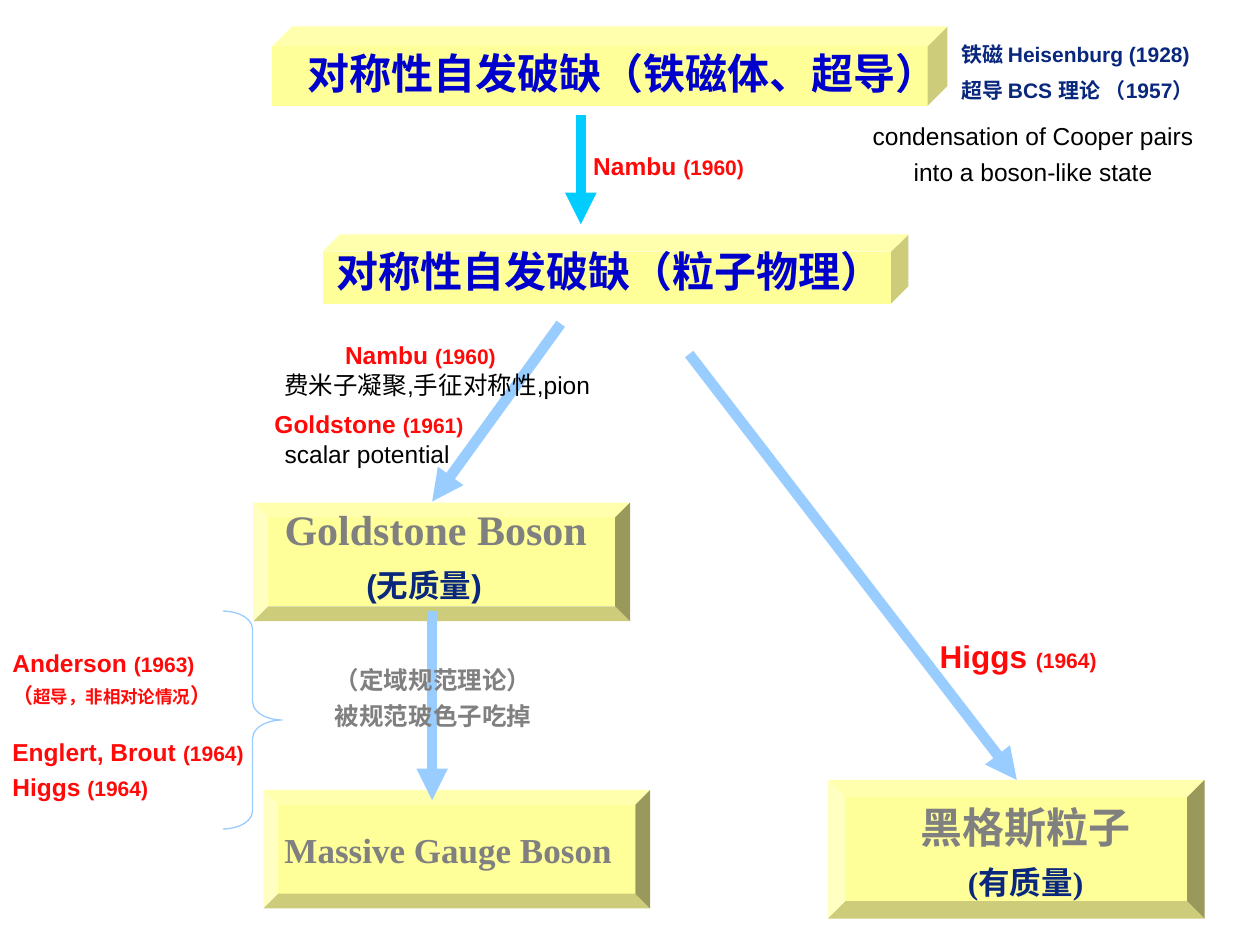
from dataclasses import dataclass
from lxml import etree
from pptx import Presentation
from pptx import util as u
from pptx.dml.color import RGBColor
from pptx.enum import shapes, text
from pptx.oxml import ns

WIDTH, HEIGHT = u.Inches(10), u.Inches(7.5)
COLS, ROWS = 100, 75
COLORS = {"red": "FF0909", "title": "0000CC", "navy": "09277D", "gray": "808080",
          "black": "000000", "box": "FFFF99", "arrow": "99CCFF", "cyan": "00CCFF"}
SANS, SERIF = "Arial", "Times New Roman"
LEFT, CENTER = text.PP_ALIGN.LEFT, text.PP_ALIGN.CENTER
CUBE, BEVEL = shapes.MSO_SHAPE.CUBE, shapes.MSO_SHAPE.BEVEL


@dataclass
class Para:
    runs: list[tuple[str, float]]
    color: str
    font: str = SANS
    bold: bool = True
    align: text.PP_ALIGN = LEFT
    before: float = 0
    spacing: float = 1
    indent: float = 0


@dataclass
class Label:
    area: tuple[float, float, float, float]
    paras: list[Para]
    middle: bool = False


@dataclass
class Box:
    area: tuple[float, float, float, float]
    kind: shapes.MSO_SHAPE
    adjust: float


@dataclass
class Arrow:
    start: tuple[float, float]
    end: tuple[float, float]
    color: str = "arrow"


def col(n: float) -> int:
    return round(WIDTH * n / COLS)


def row(n: float) -> int:
    return round(HEIGHT * n / ROWS)


def place(area: tuple[float, float, float, float]) -> tuple[int, int, int, int]:
    left, top, width, height = area
    return col(left), row(top), col(width), row(height)


def rgb(name: str) -> RGBColor:
    return RGBColor.from_string(COLORS[name])


def credit(name: str, year: int, size: float = 14, before: float = 0) -> Para:
    return Para([(f"{name} ", size), (f"({year})", 12)], "red", before=before)


def heading(words: str, color: str, size: float = 24, **options) -> Para:
    return Para([(words, size)], color, SERIF, spacing=1.3, **options)


def remark(words: str, before: float = 0) -> Para:
    return Para([(words, 14)], "black", bold=False, align=CENTER, before=before)


def draw_box(s, box: Box) -> None:
    sp = s.shapes.add_shape(box.kind, *place(box.area))
    sp.shadow.inherit = False
    sp.adjustments[0] = box.adjust
    sp.fill.solid()
    sp.fill.fore_color.rgb = rgb("box")
    sp.line.fill.background()


def draw_brace(s, area: tuple[float, float, float, float]) -> None:
    sp = s.shapes.add_shape(shapes.MSO_SHAPE.RIGHT_BRACE, *place(area))
    sp.shadow.inherit = False
    sp.adjustments[0] = 0.31
    sp.fill.background()
    sp.line.color.rgb = rgb("arrow")
    sp.line.width = u.Pt(0.75)


def draw_arrow(s, arrow: Arrow) -> None:
    (x1, y1), (x2, y2) = arrow.start, arrow.end
    cx = s.shapes.add_connector(shapes.MSO_CONNECTOR.STRAIGHT, col(x1), row(y1), col(x2), row(y2))
    cx.line.color.rgb = rgb(arrow.color)
    cx.line.width = u.Pt(6)
    etree.SubElement(cx.line._get_or_add_ln(), ns.qn("a:tailEnd"), type="triangle")
    etree.SubElement(cx._element.spPr, ns.qn("a:effectLst"))


def fill_para(p, para: Para) -> None:
    p.alignment = para.align
    p.line_spacing = para.spacing
    if para.before:
        p.space_before = u.Pt(para.before)
    if para.indent:
        p._p.get_or_add_pPr().set("marL", str(col(para.indent)))
    p.font.name = para.font
    p.font.bold = para.bold
    p.font.color.rgb = rgb(para.color)
    sizes = {size for _, size in para.runs}
    if len(sizes) == 1:
        p.font.size = u.Pt(sizes.pop())
    for words, size in para.runs:
        r = p.add_run()
        r.text = words
        if p.font.size is None:
            r.font.size = u.Pt(size)


def draw_label(s, label: Label) -> None:
    tf = s.shapes.add_textbox(*place(label.area)).text_frame
    tf.word_wrap = True
    tf.auto_size = text.MSO_AUTO_SIZE.SHAPE_TO_FIT_TEXT
    if label.middle:
        tf.vertical_anchor = text.MSO_ANCHOR.MIDDLE
    for i, para in enumerate(label.paras):
        fill_para(tf.add_paragraph() if i else tf.paragraphs[0], para)


ARROWS = [
    Arrow((54.7, 28.1), (80.7, 61.9)),
    Arrow((44.5, 25.7), (34.3, 39.8)),
    Arrow((46.1, 9.1), (46.1, 17.8), "cyan"),
]
GAUGE_ARROW = Arrow((34.3, 48.5), (34.3, 63.5))
BOXES = [
    Box((21.6, 2.1, 53.6, 6.3), CUBE, 0.25),
    Box((25.6, 18.6, 46.5, 5.5), CUBE, 0.25),
    Box((20.1, 39.9, 29.9, 9.4), BEVEL, 0.125),
    Box((20.9, 62.7, 30.7, 9.4), BEVEL, 0.125),
    Box((65.7, 61.9, 29.9, 11), BEVEL, 0.125),
]
BOX_LABELS = [
    Label((23.4, 2.1, 53, 6.2), [heading("对称性自发破缺（铁磁体、超导）", "title")]),
    Label((25.7, 17.8, 47, 6.2), [heading("对称性自发破缺（粒子物理）", "title")]),
    Label((21.6, 38.3, 29.9, 10.1), [
        heading("Goldstone Boson", "gray"),
        Para([("(无质量)", 18)], "navy", spacing=1.3, indent=6.5)]),
    Label((21.6, 64.3, 30, 5.4), [heading("Massive Gauge Boson", "gray", 20)]),
    Label((70.4, 61.9, 22, 10.1), [
        heading("黑格斯粒子", "gray", align=CENTER),
        heading("(有质量)", "navy", 18, align=CENTER)]),
]
NOTES = [
    Label((46.1, 11.5, 16, 3.4), [credit("Nambu", 1960)]),
    Label((26.4, 26.5, 16, 3.4), [credit("Nambu", 1960)]),
    Label((20.8, 32, 19, 3.4), [credit("Goldstone", 1961)]),
    Label((0, 50.9, 20, 5.8), [
        credit("Anderson", 1963),
        Para([("（", 12), ("超导，非相对论情况", 10), ("）", 12)], "red", before=3)]),
    Label((0, 58, 22.5, 6.1), [
        credit("Englert, Brout", 1964), credit("Higgs", 1964, before=3)]),
    Label((73.6, 50.1, 17, 4), [credit("Higgs", 1964, 18)]),
    Label((75.3, 2.8, 24, 5.8), [
        Para([("铁磁 Heisenburg (1928)", 12)], "navy"),
        Para([("超导 BCS 理论 （1957）", 12)], "navy", before=6)]),
    Label((25.6, 52.3, 19, 6.2), [
        Para([("（定域规范理论）", 14)], "gray"),
        Para([("被规范玻色子吃掉", 14)], "gray", before=3.5)]),
    Label((67, 9.1, 30, 6.2), [
        remark("condensation of Cooper pairs"),
        remark("into a boson-like state", 3.5)], middle=True),
    Label((19.7, 28.8, 30, 3.4), [remark("费米子凝聚,手征对称性,pion")], middle=True),
    Label((20.6, 34.3, 17.1, 3.4), [remark("scalar potential")], middle=True),
]


def main() -> None:
    prs = Presentation()
    prs.slide_width, prs.slide_height = WIDTH, HEIGHT
    s = prs.slides.add_slide(prs.slide_layouts[6])
    for arrow in ARROWS:
        draw_arrow(s, arrow)
    draw_brace(s, (17.7, 48.5, 4.7, 17.3))
    for box, label in zip(BOXES, BOX_LABELS):
        draw_box(s, box)
        draw_label(s, label)
    draw_arrow(s, GAUGE_ARROW)
    for label in NOTES:
        draw_label(s, label)
    prs.save("out.pptx")


if __name__ == "__main__":
    main()
